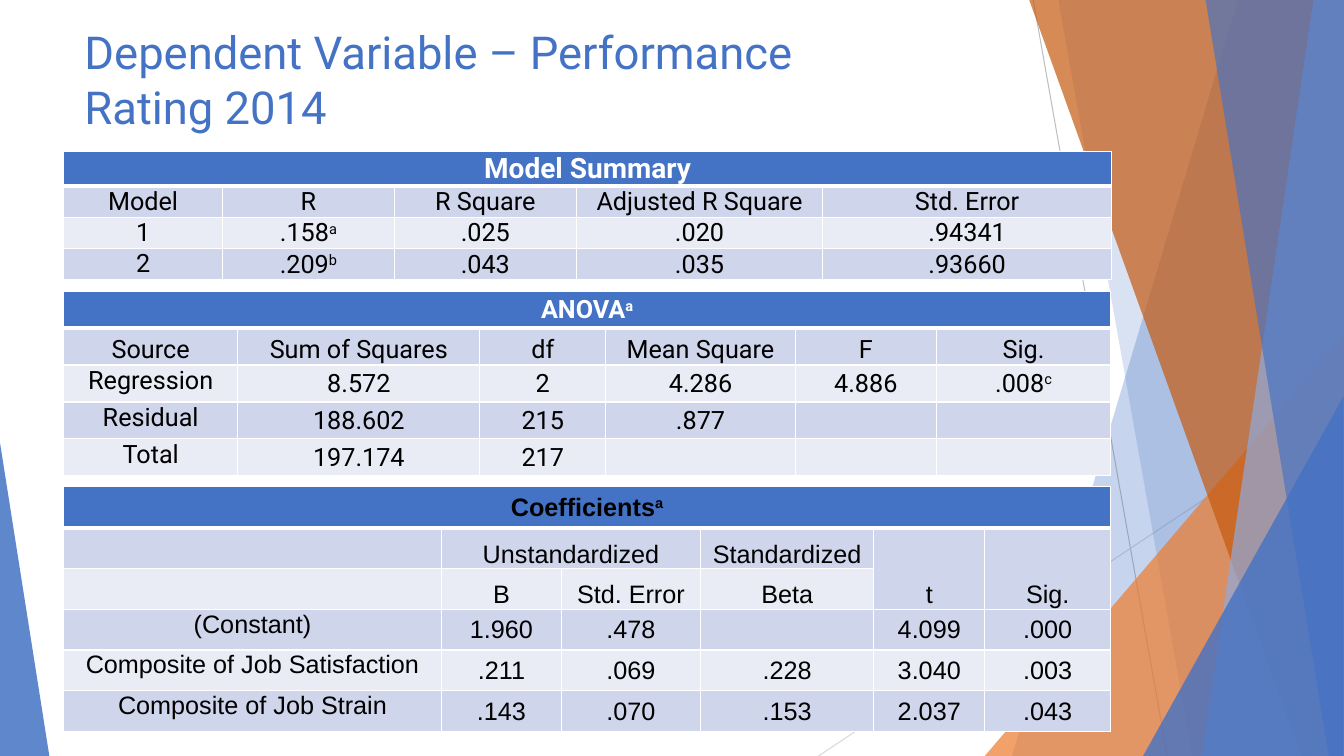
import pptx
import pptx.util
import pptx.dml.color
import pptx.enum.shapes
import pptx.enum.text
import pptx.oxml
import pptx.oxml.ns

BLUE, RUST, WHITE, BLACK = "4472C4", "C55A11", "FFFFFF", "000000"
BANDS = ["E9EBF5", "CFD5EA"]
COLS, ROWS = 133.33, 75
ANCHOR = pptx.enum.text.MSO_ANCHOR
CENTER = pptx.enum.text.PP_ALIGN.CENTER
LEFT = pptx.enum.text.PP_ALIGN.LEFT


def tint(text):
    return pptx.dml.color.RGBColor.from_string(text)


def write(frame, text, size=18, font="Roboto", color=BLACK, bold=False, align=CENTER):
    para = frame.paragraphs[0]
    para.alignment = align
    for index, part in enumerate(text.split("^")):
        run = para.add_run()
        run.text = part
        run.font.size = pptx.util.Pt(size)
        run.font.name = font
        run.font.bold = bold
        run.font.color.rgb = tint(color)
        if index:
            run._r.get_or_add_rPr().set("baseline", "30000")


class Deck:
    def __init__(self):
        self.show = pptx.Presentation()
        self.show.slide_width = pptx.util.Inches(13.33)
        self.show.slide_height = pptx.util.Inches(7.5)
        self.slide = self.show.slides.add_slide(self.show.slide_layouts[6])
        self.shapes = self.slide.shapes

    def across(self, cols):
        return int(self.show.slide_width * cols / COLS)

    def down(self, rows):
        return int(self.show.slide_height * rows / ROWS)

    def place(self, left, top, width, height):
        return self.across(left), self.down(top), self.across(width), self.down(height)

    def paint(self, shape, color, alpha):
        shape.shadow.inherit = False
        shape.line.fill.background()
        shape.fill.solid()
        shape.fill.fore_color.rgb = tint(color)
        tag = pptx.oxml.ns.qn("a:srgbClr")
        node = next(shape._element.spPr.iter(tag))
        mark = pptx.oxml.parse_xml(
            f'<a:alpha {pptx.oxml.ns.nsdecls("a")} val="{alpha * 1000}"/>')
        node.append(mark)

    def line(self, start, end, color):
        link = self.shapes.add_connector(
            pptx.enum.shapes.MSO_CONNECTOR.STRAIGHT,
            self.across(start[0]), self.down(start[1]),
            self.across(end[0]), self.down(end[1]))
        link.line.color.rgb = tint(color)
        link.line.width = pptx.util.Pt(0.75)
        link._element.spPr.append(pptx.oxml.parse_xml(
            f'<a:effectLst {pptx.oxml.ns.nsdecls("a")}/>'))

    def beam(self, top, foot, color, alpha):
        pen = self.shapes.build_freeform(self.across(top), 0)
        pen.add_line_segments(
            [(self.across(x), self.down(y))
             for x, y in [(COLS, 0), (COLS, ROWS), (foot, ROWS)]])
        self.paint(pen.convert_to_shape(), color, alpha)

    def wedge(self, box, tip, color, alpha):
        shape = self.shapes.add_shape(
            pptx.enum.shapes.MSO_SHAPE.ISOSCELES_TRIANGLE, *self.place(*box))
        shape.adjustments[0] = tip
        self.paint(shape, color, alpha)

    def title(self, box, text):
        frame = self.shapes.add_textbox(*self.place(*box)).text_frame
        frame.word_wrap = True
        frame.vertical_anchor = ANCHOR.MIDDLE
        write(frame, text, size=32.4, color=BLUE, align=LEFT)

    def edge(self, cell, row):
        for side in "LRTB":
            thick = (row, side) in [(0, "B"), (1, "T")]
            width = pptx.util.Pt(3 if thick else 1)
            cell._tc.get_or_add_tcPr().append(pptx.oxml.parse_xml(
                f'<a:ln{side} {pptx.oxml.ns.nsdecls("a")} w="{width}"><a:solidFill>'
                f'<a:srgbClr val="{WHITE}"/></a:solidFill></a:ln{side}>'))

    def table(self, top, step, widths, name, rows, heads=1, spans=(),
              size=18, color=WHITE, font="Roboto"):
        count = len(widths)
        lines = [[name] + [""] * (count - 1)] + rows
        box = self.place(6.3, top, sum(widths), step * len(lines))
        grid = self.shapes.add_table(len(lines), count, *box).table
        grid.first_row = grid.horz_banding = False
        for col, width in zip(grid.columns, widths):
            col.width = self.across(width)
        for r, texts in enumerate(lines):
            grid.rows[r].height = self.down(step)
            for c, text in enumerate(texts):
                cell = grid.cell(r, c)
                cell.margin_left = cell.margin_right = self.across(0.1)
                cell.margin_top, cell.margin_bottom = self.down(0.1), 0
                self.edge(cell, r)
                cell.fill.solid()
                cell.fill.fore_color.rgb = tint(BANDS[r % 2] if r else BLUE)
                cell.vertical_anchor = ANCHOR.MIDDLE
                if 0 < r <= heads:
                    cell.vertical_anchor = ANCHOR.BOTTOM
                elif r and c == 0:
                    cell.vertical_anchor = ANCHOR.TOP
                if r == 0 and c == 0:
                    write(cell.text_frame, text, size=size, font=font, color=color, bold=True)
                else:
                    write(cell.text_frame, text, font=font)
        for start, end in [((0, 0), (0, count - 1)), *spans]:
            grid.cell(*start).merge(grid.cell(*end))


def main():
    deck = Deck()
    deck.line((102.5, 0), (115.8, 75), "BFBFBF")
    deck.line((COLS, 40.3), (81.2, 75), "D9D9D9")
    deck.beam(122.8, 100.4, BLUE, 30)
    deck.beam(105, 118.3, BLUE, 20)
    deck.wedge((97.7, 33.3, 35.6, 41.7), 1, "ED7D31", 72)
    deck.beam(102.1, 129.1, RUST, 70)
    deck.beam(130.3, 119.2, "8FAADC", 70)
    deck.beam(119.6, 131.8, BLUE, 65)
    deck.wedge((113.4, 39.3, 19.9, 35.7), 1, BLUE, 80)
    deck.wedge((0, 43.9, 4.9, 31.1), 0, BLUE, 85)
    deck.title((7.4, 1.7, 84.2, 12.2), "Dependent Variable – Performance Rating 2014")
    deck.table(15, 3.1, [15.8, 17, 18.1, 24.4, 28.7], "Model Summary", [
        ["Model", "R", "R Square", "Adjusted R Square", "Std. Error"],
        ["1", ".158^a", ".025", ".020", ".94341"],
        ["2", ".209^b", ".043", ".035", ".93660"],
    ], size=20)
    deck.table(28.9, 3.66, [17.3, 24, 12.5, 18.8, 14, 17.3], "ANOVA^a", [
        ["Source", "Sum of Squares", "df", "Mean Square", "F", "Sig."],
        ["Regression", "8.572", "2", "4.286", "4.886", ".008^c"],
        ["Residual", "188.602", "215", ".877", "", ""],
        ["Total", "197.174", "217", "", "", ""],
    ])
    deck.table(48.3, 4.05, [37.5, 11.9, 13.8, 17.2, 11, 12.5], "Coefficients^a", [
        ["", "Unstandardized", "", "Standardized", "t", "Sig."],
        ["", "B", "Std. Error", "Beta", "", ""],
        ["(Constant)", "1.960", ".478", "", "4.099", ".000"],
        ["Composite of Job Satisfaction", ".211", ".069", ".228", "3.040", ".003"],
        ["Composite of Job Strain", ".143", ".070", ".153", "2.037", ".043"],
    ], heads=2, spans=[((1, 1), (1, 2)), ((1, 4), (2, 4)), ((1, 5), (2, 5))],
        color=BLACK, font="Arial")
    deck.show.save("out.pptx")


if __name__ == "__main__":
    main()
